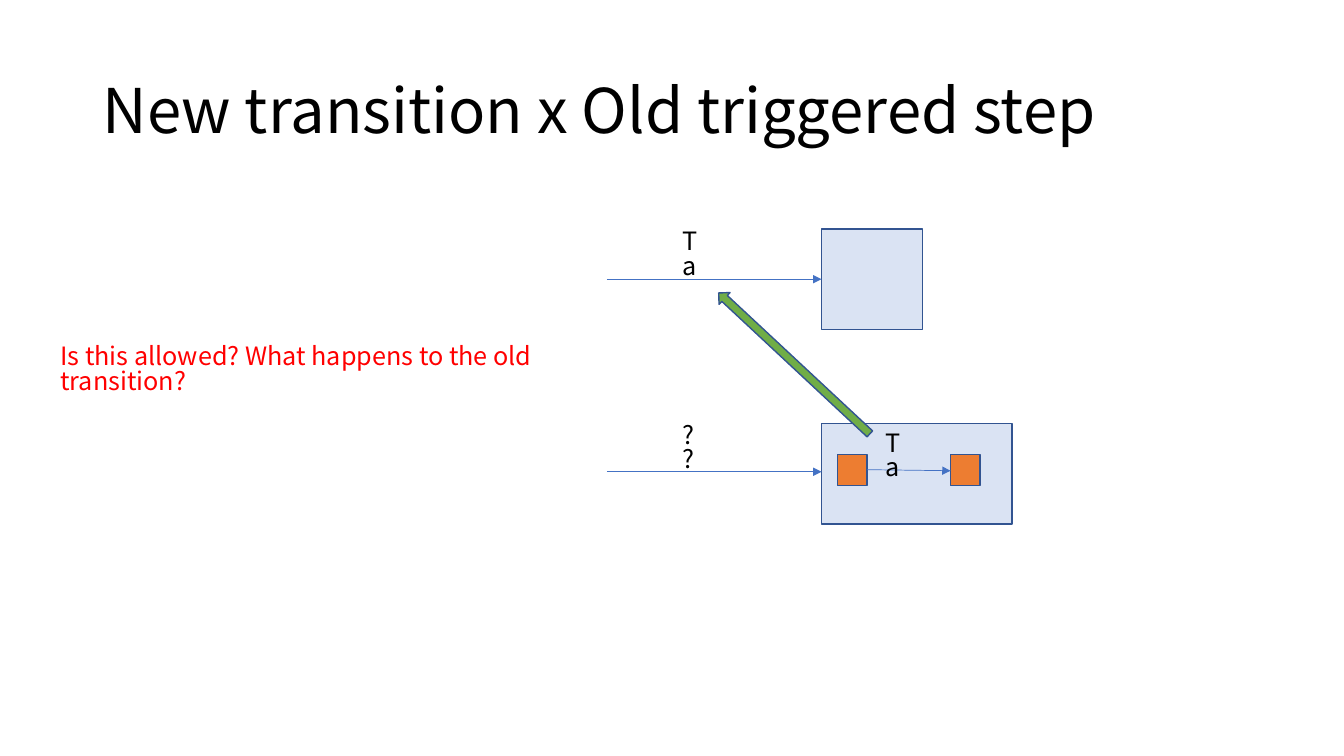
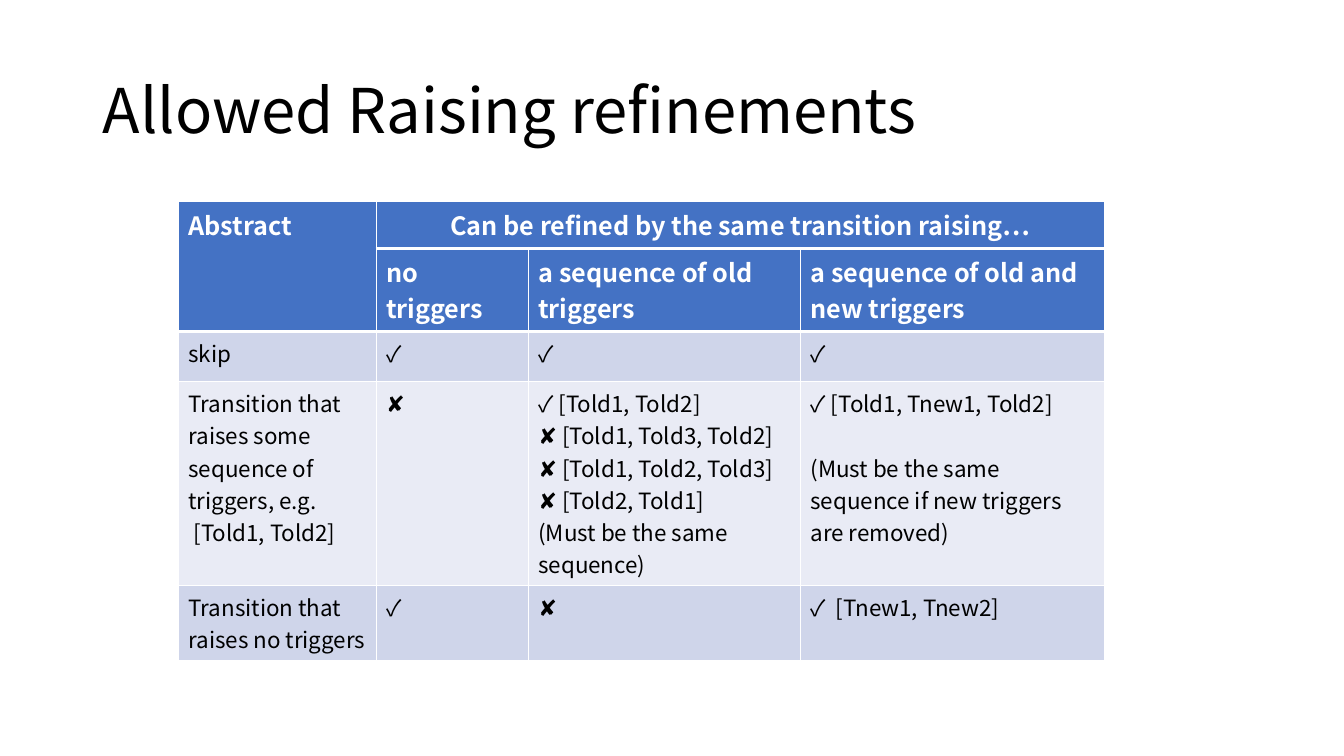
from lxml.etree import SubElement
from pptx import Presentation
from pptx.dml.color import RGBColor
from pptx.enum.shapes import MSO_CONNECTOR, MSO_SHAPE
from pptx.enum.text import MSO_ANCHOR, PP_ALIGN
from pptx.oxml import parse_xml
from pptx.oxml.ns import nsdecls, qn
from pptx.util import Inches, Pt

COLORS = {
    "black": "000000", "white": "FFFFFF", "red": "FF0000",
    "blue": "4472C4", "outline": "325491", "pale": "DAE3F3",
    "orange": "ED7D31", "green": "70AD47",
    "band": "CFD5EA", "light band": "E9EBF5",
}
FONT = "Noto Sans CJK SC"
TITLE_ONLY = 5


def color(name):
    return RGBColor.from_string(COLORS[name])


class SlideBuilder:
    """Holds the style and the current slide; lengths are percent of the slide."""

    def __init__(self):
        self.deck = Presentation()
        self.deck.slide_width = Inches(13.33)
        self.deck.slide_height = Inches(7.5)
        self.page = None

    def across(self, share):
        return int(self.deck.slide_width * share / 100)

    def down(self, share):
        return int(self.deck.slide_height * share / 100)

    def area(self, left, top, width, height):
        return self.across(left), self.down(top), self.across(width), self.down(height)

    def set_text(self, frame, lines, size=18, tint="black", bold=False, **para_format):
        frame.word_wrap = True
        for index, line in enumerate(lines):
            para = frame.paragraphs[0] if index == 0 else frame.add_paragraph()
            for name, value in para_format.items():
                setattr(para, name, value)
            span = para.add_run()
            span.text = line
            font_format = {"name": FONT, "size": Pt(size), "bold": bold}
            for name, value in font_format.items():
                setattr(span.font, name, value)
            span.font.color.rgb = color(tint)

    def start(self, title):
        self.page = self.deck.slides.add_slide(self.deck.slide_layouts[TITLE_ONLY])
        box = self.page.shapes.title
        place = dict(zip(("left", "top", "width", "height"),
                         self.area(6.9, 5.33, 86.25, 19.33)))
        for name, value in place.items():
            setattr(box, name, value)
        box.text_frame.vertical_anchor = MSO_ANCHOR.MIDDLE
        self.set_text(box.text_frame, [title], 44, line_spacing=0.9,
                      alignment=PP_ALIGN.LEFT)

    def shape(self, place, fill, kind=MSO_SHAPE.RECTANGLE, rotation=0):
        box = self.page.shapes.add_shape(kind, *self.area(*place))
        box.shadow.inherit = False
        box.rotation = rotation
        box.fill.solid()
        box.fill.fore_color.rgb = color(fill)
        box.line.color.rgb = color("outline")
        box.line.width = Pt(1)

    def label(self, place, text, tint="black"):
        box = self.page.shapes.add_textbox(*self.area(*place))
        self.set_text(box.text_frame, [text], tint=tint, line_spacing=0.82)

    def arrow(self, left, top, right, bottom):
        line = self.page.shapes.add_connector(
            MSO_CONNECTOR.STRAIGHT, self.across(left), self.down(top),
            self.across(right), self.down(bottom))
        line.line.color.rgb = color("blue")
        line.line.width = Pt(0.5)
        properties = line._element.spPr
        SubElement(properties.find(qn("a:ln")), qn("a:tailEnd"), type="triangle")
        SubElement(properties, qn("a:effectLst"))

    def cell_borders(self, cell, top, bottom):
        widths = {"lnL": 0.71, "lnR": 0.71, "lnT": top, "lnB": bottom}
        for index, (side, width) in enumerate(widths.items()):
            edge = parse_xml(
                f'<a:{side} {nsdecls("a")} w="{Pt(width)}"><a:solidFill>'
                f'<a:srgbClr val="{COLORS["white"]}"/></a:solidFill></a:{side}>')
            cell._tc.get_or_add_tcPr().insert(index, edge)

    def table(self, left, top, columns, rows, content, headers, merges):
        place = self.area(left, top, sum(columns), sum(rows))
        grid = self.page.shapes.add_table(len(rows), len(columns), *place).table
        for column, width in zip(grid.columns, columns):
            column.width = self.across(width)
        for row, height in zip(grid.rows, rows):
            row.height = self.down(height)
        for first, last in merges:
            grid.cell(*first).merge(grid.cell(*last))
        for r, texts in enumerate(content):
            header = r < headers
            band = "band" if (r - headers) % 2 == 0 else "light band"
            for c, lines in enumerate(texts):
                cell = grid.cell(r, c)
                cell.fill.solid()
                cell.fill.fore_color.rgb = color("blue" if header else band)
                self.cell_borders(cell, 2.13 if 0 < r <= headers else 0.71,
                                  2.13 if header else 0.71)
                self.set_text(cell.text_frame, lines, 18 if header else 16,
                              "white" if header else "black", header)
        return grid


slides = SlideBuilder()

# Slide 1: a new transition raises an old triggered step
slides.start("New transition x Old triggered step")

# States and the steps inside the lower one
state_left, step_top, step_width = 61.13, 60.13, 2.18
step_lefts = (62.33, 70.73)
for state_top, state_width in ((30.27, 7.5), (56, 14.18)):
    slides.shape((state_left, state_top, state_width, 13.33), "pale")
for step_left in step_lefts:
    slides.shape((step_left, step_top, step_width, 4.13), "orange")

# Transitions and their labels
slides.arrow(step_lefts[0] + step_width, 62.13, step_lefts[1], 62.27)
for transition_top in (36.93, 62.4):
    slides.arrow(45.15, transition_top, state_left, transition_top)
for left, top, width, text in ((65.18, 56.53, 3.45, "Ta"),
                               (50.03, 29.87, 3.45, "Ta"),
                               (50.03, 55.47, 3.15, "??")):
    slides.label((left, top, width, 5.33), text)

# Open question and the link between the triggers
slides.label((3.75, 45.07, 43.43, 5.33),
             "Is this allowed? What happens to the old transition?", "red")
slides.shape((58.5, 34.4, 1.2, 27.33), "green", MSO_SHAPE.UP_ARROW, 313)

# Slide 2: table of refinements
slides.start("Allowed Raising refinements")
YES, NO = "\u2713", "\u2718"
refinements = [
    [["Abstract"], ["Can be refined by the same transition raising…"], [], []],
    [[], ["no triggers"], ["a sequence of old triggers"],
     ["a sequence of old and new triggers"]],
    [["skip"], [YES], [YES], [YES]],
    [["Transition that raises some sequence of triggers, e.g.", " [Told1, Told2]"],
     [NO],
     [f"{YES} [Told1, Told2]", f"{NO} [Told1, Told3, Told2]",
      f"{NO} [Told1, Told2, Told3]", f"{NO} [Told2, Told1]",
      "(Must be the same sequence)"],
     [f"{YES} [Told1, Tnew1,\u00a0Told2]",
      "(Must be the same sequence if new triggers are removed)"]],
    [["Transition that raises no triggers"], [YES], [NO],
     [f"{YES}  [Tnew1, Tnew2]"]],
]
grid = slides.table(13.28, 26.67, (14.7, 11.33, 20.25, 22.65),
                    (4.8, 4.8, 6.67, 21.33, 6.67), refinements, headers=2,
                    merges=(((0, 0), (1, 0)), ((0, 1), (0, 3))))
grid.cell(0, 1).text_frame.paragraphs[0].alignment = PP_ALIGN.CENTER
grid.cell(3, 3).text_frame.paragraphs[0].space_after = Pt(23)

slides.deck.save("out.pptx")
